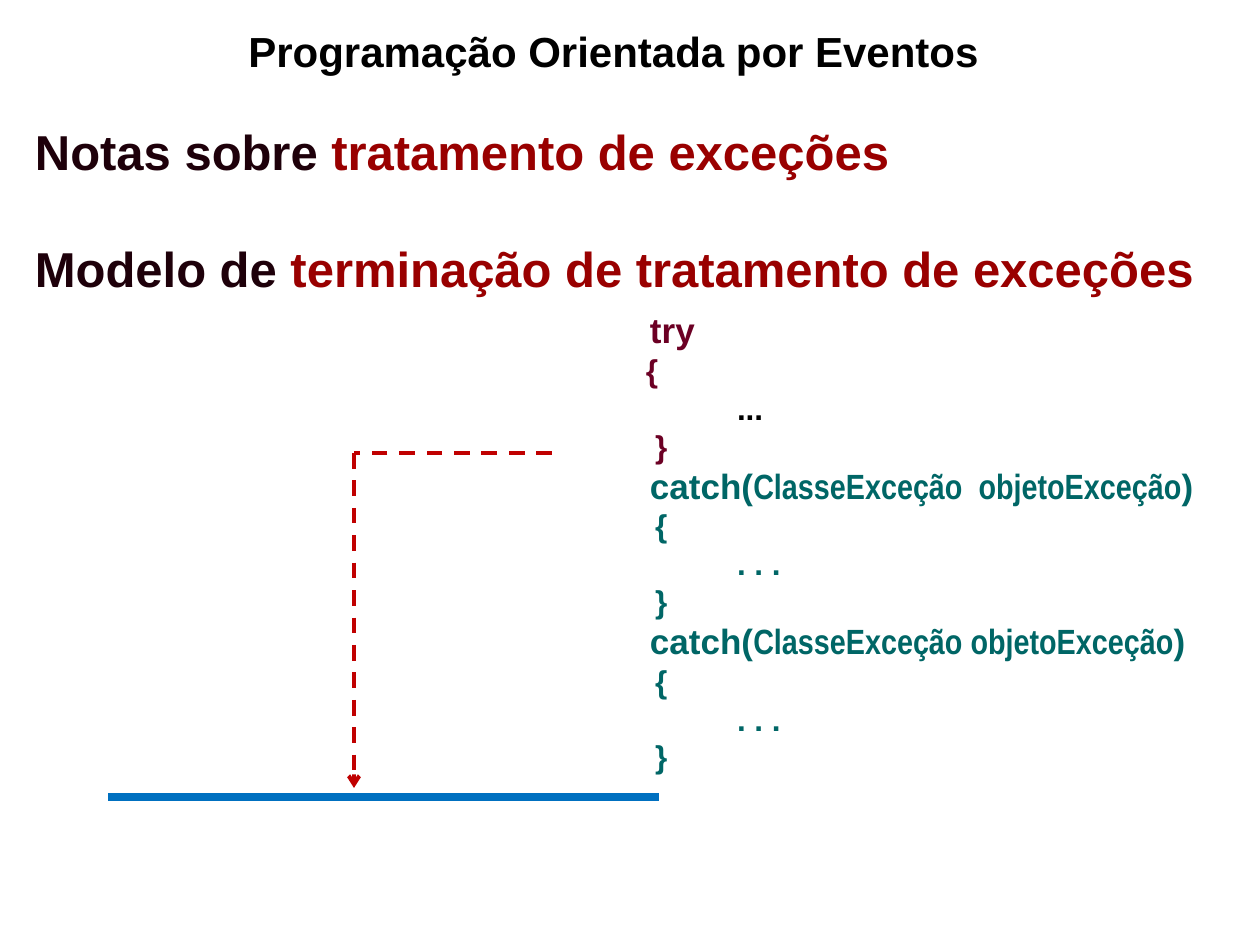
from lxml.etree import SubElement
from pptx import Presentation
from pptx.dml.color import RGBColor
from pptx.enum.dml import MSO_LINE
from pptx.enum.shapes import MSO_CONNECTOR, MSO_SHAPE
from pptx.enum.text import MSO_ANCHOR, PP_ALIGN
from pptx.oxml.ns import qn
from pptx.util import Pt

PX = 914400 // 126
COLORS = {
    "white": "FFFFFF",
    "black": "000000",
    "dark": "1E000A",
    "red": "990000",
    "try": "6C0024",
    "catch": "006666",
    "flow": "C00000",
    "end": "0070C0",
}


def color(name):
    """Return the named colour."""
    return RGBColor.from_string(COLORS[name])


def add_panel(slide, box, **frame_format):
    """Add a white rectangle and return its text frame."""
    panel = slide.shapes.add_shape(MSO_SHAPE.RECTANGLE, *(n * PX for n in box))
    panel.shadow.inherit = False
    panel.fill.solid()
    panel.fill.fore_color.rgb = color("white")
    panel.line.fill.background()
    frame = panel.text_frame
    frame.word_wrap = True
    for name, value in frame_format.items():
        setattr(frame, name, value)
    return frame


def add_line(frame, runs, size, indent=0, gap=0):
    """Write one paragraph of (text, colour, font) runs."""
    first = frame.paragraphs[0]
    line = first if not first.runs else frame.add_paragraph()
    line.alignment = PP_ALIGN.LEFT
    line.space_before = Pt(gap)
    line._p.get_or_add_pPr().set("marL", str(indent * PX))
    for words, tone, face in runs:
        run = line.add_run()
        run.text = words
        run.font.color.rgb = color(tone)
        for name, value in {"name": face, "size": Pt(size), "bold": True}.items():
            setattr(run.font, name, value)


def add_stroke(slide, ends, tone, width, dash=None, arrow=False):
    """Draw a straight line, optionally dashed and ending in an arrow."""
    stroke = slide.shapes.add_connector(
        MSO_CONNECTOR.STRAIGHT, *(n * PX for n in ends))
    stroke.line.color.rgb = color(tone)
    stroke.line.width = Pt(width)
    if dash:
        stroke.line.dash_style = dash
    if arrow:
        SubElement(stroke.line._get_or_add_ln(), qn("a:tailEnd"), type="arrow")
    SubElement(stroke._element.spPr, qn("a:effectLst"))


def add_headings(slide):
    """Write the two topic lines."""
    topics = add_panel(slide, (0, 115, 1260, 830), margin_left=35 * PX,
                       margin_top=7 * PX, vertical_anchor=MSO_ANCHOR.TOP)
    headings = [
        ("Notas sobre ", "tratamento de exceções", 0),
        ("Modelo de ", "terminação de tratamento de exceções", 33),
    ]
    for lead, topic, gap in headings:
        runs = [(lead, "dark", "Arial"), (topic, "red", "Arial")]
        add_line(topics, runs, 28, gap=gap)


def add_code(slide):
    """Write the try block and its two catch blocks."""
    code = add_panel(slide, (411, 302, 816, 493), margin_left=0,
                     margin_top=7 * PX, vertical_anchor=MSO_ANCHOR.TOP)
    keyword, opening, brace, body = 239, 235, 244, 326
    lines = [
        ([("try", "try", "Arial")], 20, keyword),
        ([("{", "try", "Arial")], 18, opening),
        ([("...", "black", "Arial")], 18, body),
        ([("}", "try", "Arial")], 18, brace),
    ]
    for argument in ("ClasseExceção  objetoExceção", "ClasseExceção objetoExceção"):
        header = [("catch(", "catch", "Arial"),
                  (argument, "catch", "Arial Narrow"),
                  (")", "catch", "Arial")]
        lines.append((header, 20, keyword))
        for words, indent in (("{", brace), (". . .", body), ("}", brace)):
            lines.append(([(words, "catch", "Arial")], 18, indent))
    for runs, size, indent in lines:
        add_line(code, runs, size, indent)


def main():
    """Build and save the slide."""
    deck = Presentation()
    deck.slide_width, deck.slide_height = 1260 * PX, 945 * PX
    slide = deck.slides.add_slide(deck.slide_layouts[6])
    title = add_panel(slide, (236, 7, 861, 88), vertical_anchor=MSO_ANCHOR.MIDDLE)
    add_line(title, [("Programação Orientada por Eventos", "black", "Arial")], 24)
    add_headings(slide)
    add_code(slide)
    add_stroke(slide, (552, 453, 354, 453), "flow", 2.25, MSO_LINE.DASH)
    add_stroke(slide, (354, 453, 354, 788), "flow", 2.25, MSO_LINE.DASH, arrow=True)
    add_stroke(slide, (659, 797, 108, 797), "end", 4.5)
    deck.save("out.pptx")


if __name__ == "__main__":
    main()
